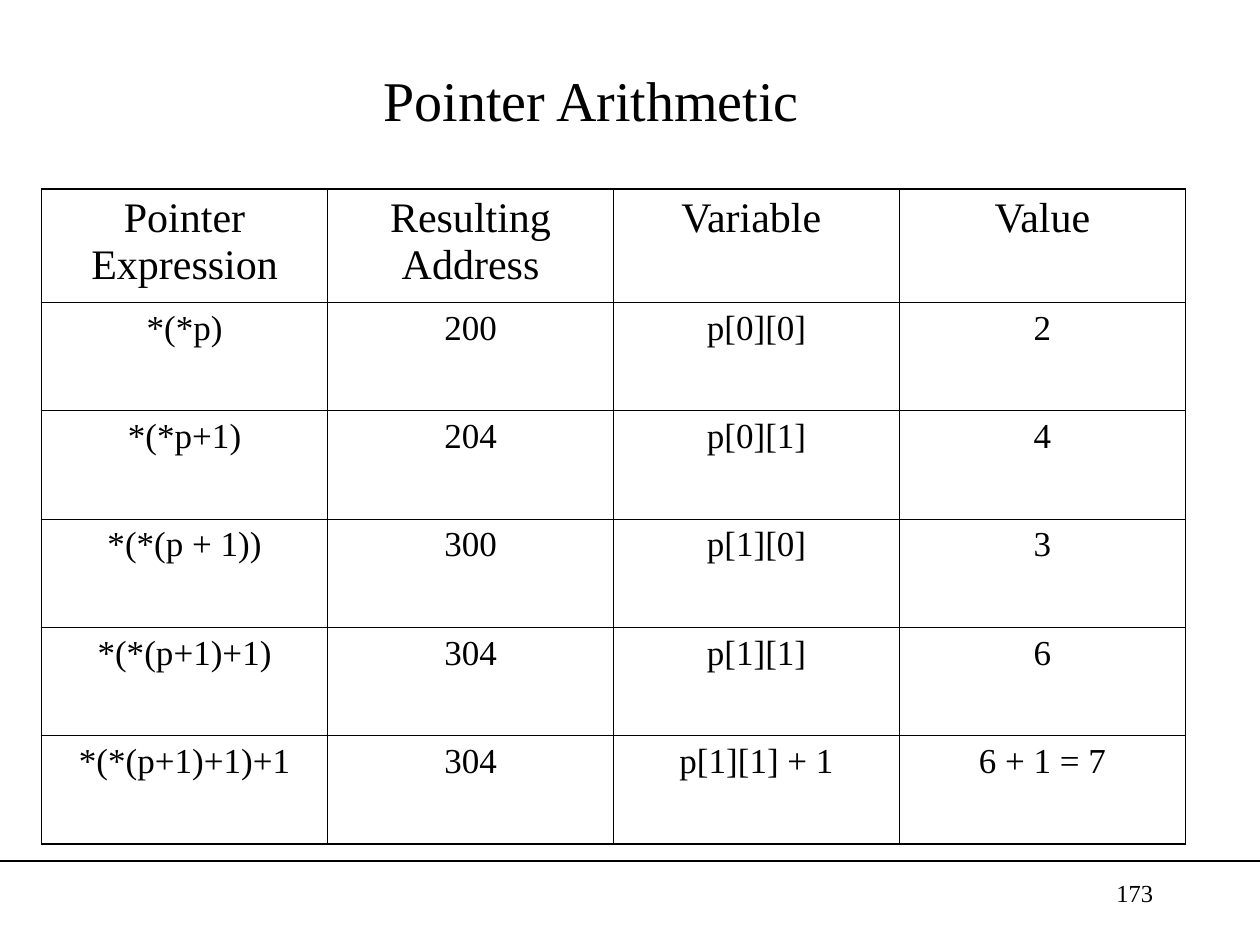
from dataclasses import dataclass

from lxml.etree import SubElement
from pptx import Presentation
from pptx.dml.color import RGBColor
from pptx.enum.shapes import MSO_CONNECTOR
from pptx.enum.text import MSO_ANCHOR, PP_ALIGN
from pptx.oxml.ns import qn
from pptx.util import Inches, Pt

WIDTH, HEIGHT = Inches(10), Inches(7.5)
FONT, INK = "Times New Roman", "000000"
THIN, THICK = 0.45, 1.08

ROWS = [
    ("Pointer Expression", "Resulting Address", "Variable ", "Value"),
    ("*(*p)", "200", "p[0][0]", "2"),
    ("*(*p+1)", "204", "p[0][1]", "4"),
    ("*(*(p + 1))", "300", "p[1][0]", "3"),
    ("*(*(p+1)+1)", "304", "p[1][1]", "6"),
    ("*(*(p+1)+1)+1", "304", "p[1][1] + 1", "6 + 1 = 7"),
]
HEAD, BODY = Inches(0.9), Inches(0.86)


@dataclass
class Label:
    """Text in a box whose edges are shares of the slide's size."""
    text: str
    left: float
    top: float
    width: float
    height: float
    size: int
    align: PP_ALIGN
    anchor: MSO_ANCHOR


LABELS = [
    Label("Pointer Arithmetic ", 0.05, 0.033, 0.85, 0.144, 32,
          PP_ALIGN.CENTER, MSO_ANCHOR.MIDDLE),
    Label("173", 0.717, 0.923, 0.208, 0.067, 14,
          PP_ALIGN.RIGHT, MSO_ANCHOR.TOP),
]


def color(code: str) -> RGBColor:
    return RGBColor.from_string(code)


def write(frame, text: str, size: int, align: PP_ALIGN) -> None:
    para = frame.paragraphs[0]
    para.text = text
    para.alignment = align
    para.font.name = FONT
    para.font.size = Pt(size)
    para.font.color.rgb = color(INK)


def add_label(slide, label: Label) -> None:
    box = slide.shapes.add_textbox(
        int(label.left * WIDTH), int(label.top * HEIGHT),
        int(label.width * WIDTH), int(label.height * HEIGHT))
    frame = box.text_frame
    frame.word_wrap = True
    frame.vertical_anchor = label.anchor
    write(frame, label.text, label.size, label.align)


def add_edge(cell, side: str, width: float) -> None:
    props = cell._tc.get_or_add_tcPr()
    line = SubElement(props, qn(f"a:ln{side}"), w=str(Pt(width)))
    fill = SubElement(line, qn("a:solidFill"))
    SubElement(fill, qn("a:srgbClr"), val=INK)


def add_grid(slide) -> None:
    """Draw the table with a thick frame and thin inner lines."""
    high, wide = len(ROWS), len(ROWS[0])
    table = slide.shapes.add_table(
        high, wide, int(0.033 * WIDTH), int(0.2 * HEIGHT),
        wide * Inches(2.27), HEAD + (high - 1) * BODY).table
    table.first_row = table.horz_banding = False
    for r, row in enumerate(ROWS):
        table.rows[r].height = BODY if r else HEAD
        for c, text in enumerate(row):
            cell = table.cell(r, c)
            write(cell.text_frame, text, 20 if r else 24, PP_ALIGN.CENTER)
            outer = {"L": c == 0, "R": c == wide - 1,
                     "T": r == 0, "B": r == high - 1}
            for side, edge in outer.items():
                add_edge(cell, side, THICK if edge else THIN)
            cell.fill.background()


def add_rule(slide) -> None:
    level = int(0.911 * HEIGHT)
    rule = slide.shapes.add_connector(
        MSO_CONNECTOR.STRAIGHT, 0, level, WIDTH, level)
    rule.line.color.rgb = color(INK)
    rule.line.width = Pt(0.75)
    SubElement(rule._element.spPr, qn("a:effectLst"))


def main() -> None:
    deck = Presentation()
    deck.slide_width, deck.slide_height = WIDTH, HEIGHT
    slide = deck.slides.add_slide(deck.slide_layouts[6])
    add_rule(slide)
    add_grid(slide)
    for label in LABELS:
        add_label(slide, label)
    deck.save("out.pptx")


if __name__ == "__main__":
    main()
